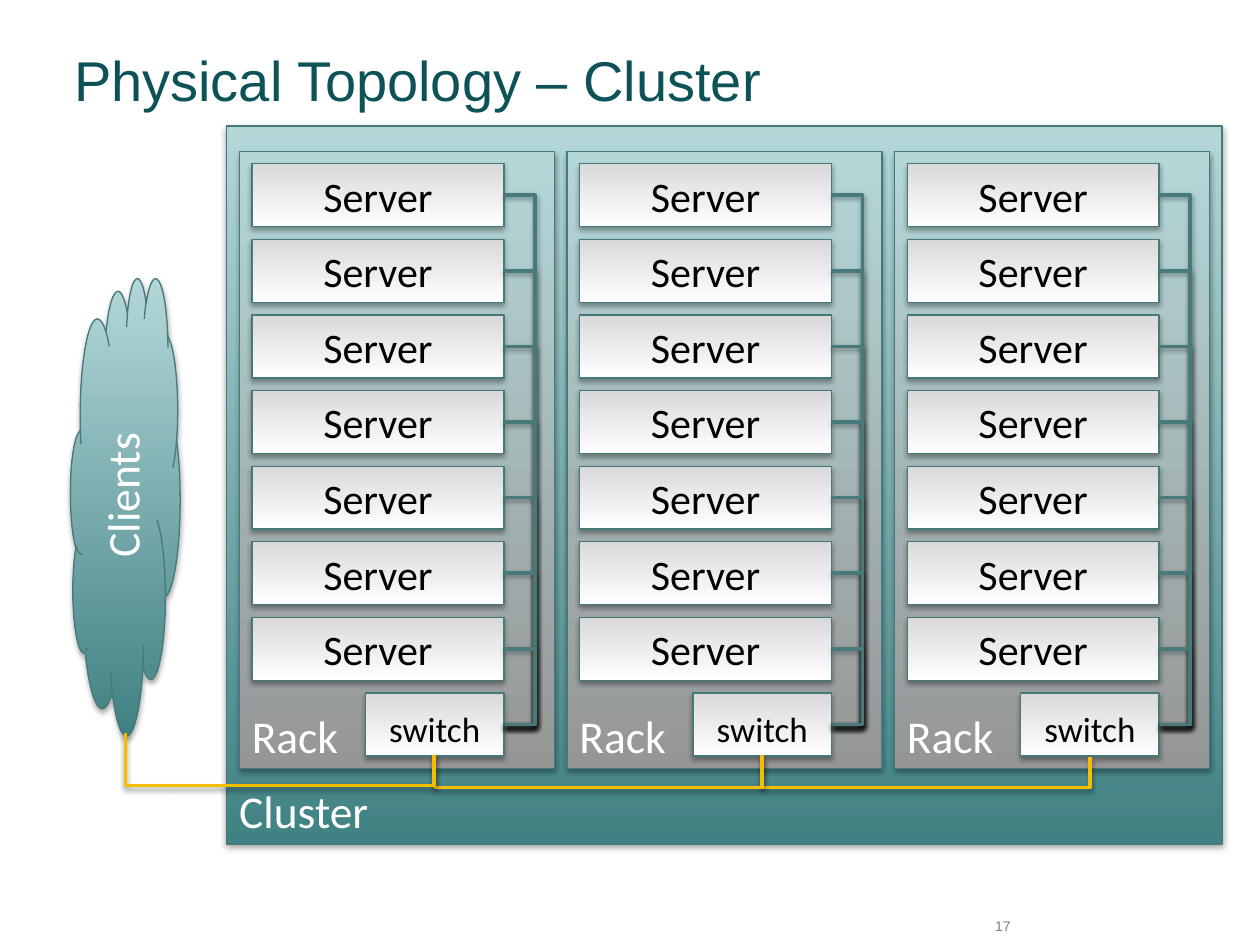
from dataclasses import dataclass

from lxml import etree
from pptx import Presentation
from pptx.dml.color import RGBColor
from pptx.enum.shapes import MSO_CONNECTOR, MSO_SHAPE
from pptx.enum.text import MSO_ANCHOR, PP_ALIGN
from pptx.oxml.ns import qn
from pptx.util import Emu, Pt

EMU_PER_PX = 9144  # 100 px to the inch
RECT, CLOUD = MSO_SHAPE.RECTANGLE, MSO_SHAPE.CLOUD
ELBOW = MSO_CONNECTOR.ELBOW
LEFT, CENTER, RIGHT = PP_ALIGN.LEFT, PP_ALIGN.CENTER, PP_ALIGN.RIGHT
TOP, MIDDLE, BOTTOM = MSO_ANCHOR.TOP, MSO_ANCHOR.MIDDLE, MSO_ANCHOR.BOTTOM
SITE_BOTTOM, SITE_RIGHT, CLOUD_SITE_BOTTOM = 2, 3, 1

COLORS = {
    "title": "0D5257", "number": "808080", "white": "FFFFFF", "black": "000000",
    "teal": "408183", "pale_teal": "B4D7D8", "gray": "969696", "pale_gray": "D9D9D9",
    "outline": "45797A", "rack_link": "487A7B", "cluster_link": "F6BE00",
}

RACK_COUNT, RACK_LEFT, RACK_STEP = 3, 190, 260
SERVER_COUNT, SERVER_TOP, SERVER_STEP = 7, 130, 60
PADDING, BOX_HEIGHT = 10, 50
SERVER_WIDTH, SWITCH_WIDTH, SWITCH_TOP = 200, 110, 550
LINK_DEPTH = 25


@dataclass(frozen=True)
class Area:
    left: int
    top: int
    width: int
    height: int


@dataclass(frozen=True)
class Label:
    text: str
    size: int
    color: str
    font: str = "Calibri"
    align: PP_ALIGN = LEFT
    anchor: MSO_ANCHOR = BOTTOM


@dataclass(frozen=True)
class Block:
    """A shaded shape; its gradient runs from bottom to top."""
    label: Label
    bottom_color: str
    top_color: str
    kind: MSO_SHAPE = RECT


CLUSTER = Block(Label("Cluster", 26, "white"), "teal", "pale_teal")
RACK = Block(Label("Rack", 26, "white"), "gray", "pale_teal")
SERVER = Block(Label("Server", 24, "black", align=CENTER), "white", "pale_gray")
SWITCH = Block(Label("switch", 20, "black", align=CENTER), "white", "pale_gray")
CLIENTS = Block(Label("Clients", 26, "white", align=CENTER, anchor=MIDDLE),
                "teal", "pale_teal", CLOUD)


def px(length: int) -> Emu:
    return Emu(length * EMU_PER_PX)


def rgb(name: str) -> RGBColor:
    return RGBColor.from_string(COLORS[name])


def place(area: Area) -> list[Emu]:
    return [px(n) for n in (area.left, area.top, area.width, area.height)]


def add_shadow(item, opacity: int, distance: float) -> None:
    effects = etree.SubElement(item.element.spPr, qn("a:effectLst"))
    shadow = etree.SubElement(effects, qn("a:outerShdw"), blurRad=str(Pt(3.1)),
                              dist=str(Pt(distance)), dir="5400000", rotWithShape="0")
    color = etree.SubElement(shadow, qn("a:srgbClr"), val=COLORS["black"])
    etree.SubElement(color, qn("a:alpha"), val=str(opacity * 1000))


def write(frame, label: Label) -> None:
    frame.word_wrap = True
    frame.vertical_anchor = label.anchor
    para = frame.paragraphs[0]
    para.alignment = label.align
    span = para.add_run()
    span.text = label.text
    span.font.name = label.font
    span.font.size = Pt(label.size)
    span.font.color.rgb = rgb(label.color)


def add_text(page, area: Area, label: Label) -> None:
    write(page.shapes.add_textbox(*place(area)).text_frame, label)


def add_block(shapes, area: Area, block: Block):
    box = shapes.add_shape(block.kind, *place(area))
    box.fill.gradient()
    box.fill.gradient_angle = 90
    for stop, color in zip(box.fill.gradient_stops, (block.bottom_color, block.top_color)):
        stop.color.rgb = rgb(color)
    box.line.color.rgb = rgb(COLORS_OUTLINE)
    box.line.width = Pt(0.75)
    add_shadow(box, 35, 1.8)
    write(box.text_frame, block.label)
    return box


COLORS_OUTLINE = "outline"


def add_link(shapes, start, start_site: int, end, end_site: int,
             area: Area, color: str):
    """Join two shapes by an elbow that bulges LINK_DEPTH beyond the end side."""
    link = shapes.add_connector(ELBOW, px(area.left), px(area.top),
                                px(area.left + area.width), px(area.top + area.height))
    link.begin_connect(start, start_site)
    link.end_connect(end, end_site)
    link.left, link.top, link.width, link.height = place(area)
    bend = (area.width - 1 + LINK_DEPTH) * 100000 // area.width
    values = link.element.spPr.find(qn("a:prstGeom")).find(qn("a:avLst"))
    etree.SubElement(values, qn("a:gd"), name="adj1", fmla=f"val {bend}")
    link.line.color.rgb = rgb(color)
    link.line.width = Pt(2)
    add_shadow(link, 38, 1.6)
    return link


def add_link_below(shapes, start, start_site: int, end, x: int, y: int,
                   end_x: int, end_y: int) -> None:
    """Lead from one bottom side to the next: a side link turned a quarter."""
    depth, reach = end_y - y, end_x - x
    area = Area((x + end_x - depth) // 2, (y + end_y - reach) // 2, depth, reach)
    link = add_link(shapes, start, start_site, end, SITE_BOTTOM, area, "cluster_link")
    frame = link.element.spPr.find(qn("a:xfrm"))
    frame.set("rot", "16200000")
    frame.set("flipH", "1")


def add_rack(page, left: int):
    """Draw one rack as a group and return its switch."""
    shapes = page.shapes.add_group_shape().shapes
    add_block(shapes, Area(left, 120, 250, 490), RACK)
    server_left = left + PADDING
    right = server_left + SERVER_WIDTH
    tops = [SERVER_TOP + row * SERVER_STEP for row in range(SERVER_COUNT)]
    servers = [add_block(shapes, Area(server_left, top, SERVER_WIDTH, BOX_HEIGHT), SERVER)
               for top in tops]
    switch = add_block(
        shapes, Area(right - SWITCH_WIDTH, SWITCH_TOP, SWITCH_WIDTH, BOX_HEIGHT), SWITCH)
    for server, top in zip(servers, tops):
        add_link(shapes, server, SITE_RIGHT, switch, SITE_RIGHT,
                 Area(right, top + BOX_HEIGHT // 2, 1, SWITCH_TOP - top), "rack_link")
    return switch


def main() -> None:
    deck = Presentation()
    deck.slide_width, deck.slide_height = px(1000), px(750)
    page = deck.slides.add_slide(deck.slide_layouts[6])

    add_text(page, Area(49, 0, 900, 125),
             Label("Physical Topology – Cluster", 32, "title", "Arial", anchor=MIDDLE))
    add_text(page, Area(776, 723, 36, 27),
             Label("17", 8, "number", "Arial", RIGHT, TOP))

    add_block(page.shapes, Area(180, 100, 790, 570), CLUSTER)
    switches = [add_rack(page, RACK_LEFT + column * RACK_STEP)
                for column in range(RACK_COUNT)]
    clients = add_block(page.shapes, Area(56, 220, 87, 363), CLIENTS)
    clients.text_frame._txBody.bodyPr.set("vert", "vert270")

    switch_x = RACK_LEFT + PADDING + SERVER_WIDTH - SWITCH_WIDTH // 2
    for column in reversed(range(RACK_COUNT - 1)):
        x = switch_x + column * RACK_STEP
        add_link_below(page.shapes, switches[column], SITE_BOTTOM, switches[column + 1],
                       x, 599, x + RACK_STEP, 601)
    add_link_below(page.shapes, clients, CLOUD_SITE_BOTTOM, switches[0],
                   100, 582, switch_x, 600)

    deck.save("out.pptx")


if __name__ == "__main__":
    main()
